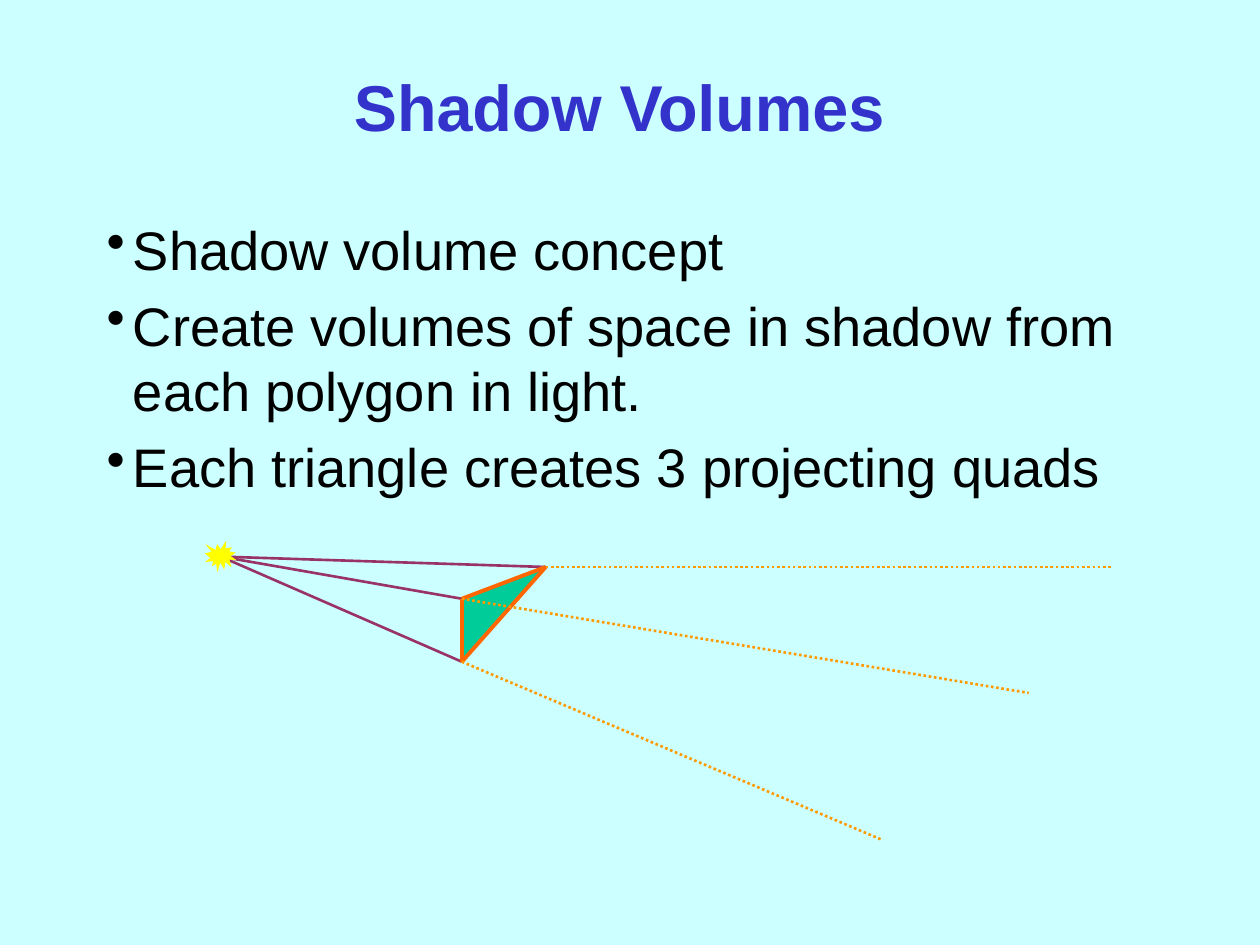
from dataclasses import dataclass

from lxml import etree
from pptx import Presentation
from pptx.dml.color import RGBColor
from pptx.enum.dml import MSO_LINE
from pptx.enum.shapes import MSO_CONNECTOR, MSO_SHAPE
from pptx.enum.text import MSO_ANCHOR, PP_ALIGN
from pptx.oxml.ns import qn
from pptx.util import Cm, Pt

DOTTED = MSO_LINE.ROUND_DOT
STRAIGHT = MSO_CONNECTOR.STRAIGHT
BURST = MSO_SHAPE.EXPLOSION1
MIDDLE, TOP = MSO_ANCHOR.MIDDLE, MSO_ANCHOR.TOP
CENTER, LEFT = PP_ALIGN.CENTER, PP_ALIGN.LEFT


@dataclass(frozen=True)
class Theme:
    font: str = "Arial"
    background: str = "CCFFFF"
    title: str = "3333CC"
    body: str = "000000"
    triangle: str = "00CC99"
    edge: str = "FF6600"
    ray: str = "993366"
    shadow: str = "FF9900"
    light: str = "FFFF00"
    title_size: float = 37
    body_size: float = 31
    body_gap: float = 6.2
    edge_width: float = 2.25
    ray_width: float = 1.5


class SlideBuilder:
    """Draws themed elements on one slide, with lengths in centimetres."""

    def __init__(self, page, theme):
        self.page = page
        self.theme = theme
        self.paint(page.background.fill, theme.background)

    def paint(self, fill, color):
        fill.solid()
        fill.fore_color.rgb = RGBColor.from_string(color)

    def text(self, area, lines, size, color, bold=False, align=LEFT, anchor=TOP):
        box = self.page.shapes.add_textbox(*map(Cm, area))
        frame = box.text_frame
        frame.word_wrap = True
        frame.vertical_anchor = anchor
        frame.text = "\n".join(lines)
        for para in frame.paragraphs:
            para.alignment = align
            for span in para.runs:
                span.font.name = self.theme.font
                span.font.size = Pt(size)
                span.font.bold = bold
                span.font.color.rgb = RGBColor.from_string(color)
        return frame

    def bullets(self, area, lines):
        frame = self.text(area, lines, self.theme.body_size, self.theme.body)
        indent = Cm(0.53)
        for para in frame.paragraphs:
            para.space_before = Pt(self.theme.body_gap)
            properties = para._p.get_or_add_pPr()
            properties.set("marL", str(indent))
            properties.set("indent", str(-indent))
            etree.SubElement(properties, qn("a:buChar")).set("char", "•")

    def polygon(self, points, color):
        first, *rest = [(Cm(x), Cm(y)) for x, y in points]
        builder = self.page.shapes.build_freeform(*first)
        builder.add_line_segments(rest, close=True)
        self.finish(builder.convert_to_shape(), color)

    def burst(self, center, size, color):
        left, top = (value - size / 2 for value in center)
        area = map(Cm, (left, top, size, size))
        self.finish(self.page.shapes.add_shape(BURST, *area), color)

    def finish(self, shape, color):
        shape.shadow.inherit = False
        self.paint(shape.fill, color)
        shape.line.fill.background()

    def line(self, start, end, color, width, dash=None):
        connector = self.page.shapes.add_connector(STRAIGHT, *map(Cm, (*start, *end)))
        connector.line.color.rgb = RGBColor.from_string(color)
        connector.line.width = Pt(width)
        if dash is not None:
            connector.line.dash_style = dash
        etree.SubElement(connector._element.spPr, qn("a:effectLst"))


def main():
    theme = Theme()
    deck = Presentation()
    deck.slide_width, deck.slide_height = Cm(25.4), Cm(19.05)
    slide = SlideBuilder(deck.slides.add_slide(deck.slide_layouts[6]), theme)

    slide.text((3.81, 0.64, 17.35, 2.97), ["Shadow Volumes"], theme.title_size,
               theme.title, bold=True, align=CENTER, anchor=MIDDLE)
    slide.bullets((1.9, 4.24, 21.6, 13.13), [
        "Shadow volume concept",
        "Create volumes of space in shadow from each polygon in light.",
        "Each triangle creates 3 projecting quads",
    ])

    light = (4.45, 11.22)
    corners = [(9.31, 12.07), (11, 11.43), (9.31, 13.34)]
    shadow_ends = [(20.74, 13.97), (22.44, 11.43), (17.78, 16.93)]

    slide.polygon(corners, theme.triangle)
    for corner in corners:
        slide.line(light, corner, theme.ray, theme.ray_width)
    for start, end in zip(corners, corners[1:] + corners[:1]):
        slide.line(start, end, theme.edge, theme.edge_width)
    for corner, end in zip(corners, shadow_ends):
        slide.line(corner, end, theme.shadow, theme.ray_width, DOTTED)
    slide.burst(light, 0.64, theme.light)

    deck.save("out.pptx")


if __name__ == "__main__":
    main()
